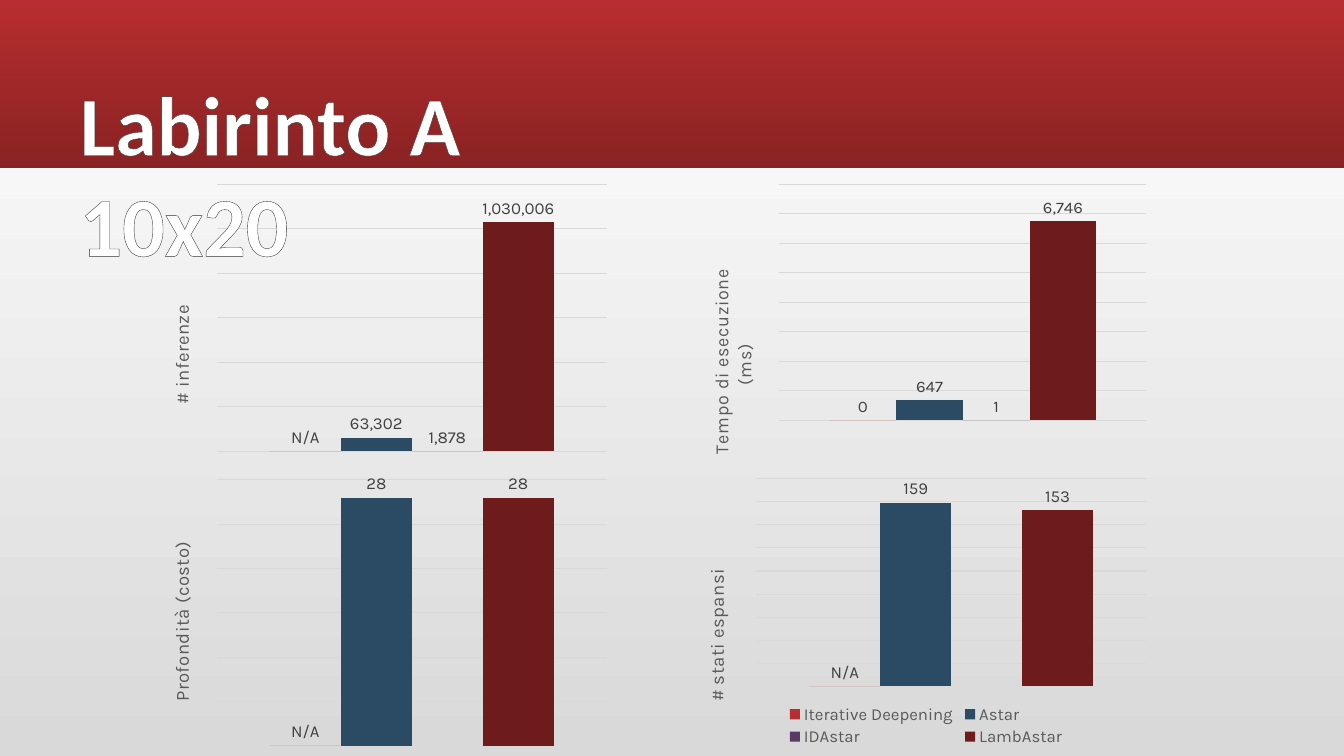
from lxml import etree
from pptx import Presentation
from pptx.chart.data import CategoryChartData
from pptx.dml.color import RGBColor
from pptx.enum.chart import XL_CHART_TYPE, XL_LABEL_POSITION, XL_LEGEND_POSITION
from pptx.enum.shapes import MSO_SHAPE
from pptx.enum.text import MSO_ANCHOR, PP_ALIGN
from pptx.oxml.ns import qn
from pptx.util import Inches, Pt

COLUMNS = XL_CHART_TYPE.COLUMN_CLUSTERED
OUTSIDE = XL_LABEL_POSITION.OUTSIDE_END
BOTTOM = XL_LEGEND_POSITION.BOTTOM
RECTANGLE = MSO_SHAPE.RECTANGLE
TOP, LEFT = MSO_ANCHOR.TOP, PP_ALIGN.LEFT

SLIDE_W, SLIDE_H = 13.33, 7.5
CHART_W, CHART_H = 4.57, 2.76
COLUMN_X, ROW_Y = (1.55, 6.9), (1.78, 4.7)
PLOT_TOP, PLOT_RIGHT = 0.05, 0.1
SERIES_COLORS = ("B82D2F", "2B4A63", "5A3A64", "6E1B1C")
ALGORITHMS = ("Iterative Deepening", "Astar", "IDAstar", "LambAstar")
NUMBERED = ("Series 1", "Series 2", "Series 3", "Series 4")
PARTLY_NUMBERED = ("Series 1", "Series 2", "IDAstar", "Series 4")

# Values are percentages of the tallest bar; the labels give the measured amounts.
# left and bottom are plot margins in inches; title_at is a fraction of the chart.
MEASURES = [
    dict(cell=(0, 0), title="# inferenze", names=NUMBERED, values=(0, 6, 0, 100),
         labels=("N/A", "63,302", "1,878", "1,030,006"),
         step=19.42, intervals=6, left=0.6, bottom=0.06, title_at=(0.02, 0.44)),
    dict(cell=(1, 0), title="Tempo di esecuzione (ms)", names=NUMBERED,
         values=(0, 10, 0, 100), labels=("0", "647", "1", "6,746"),
         step=14.82, intervals=8, left=0.83, bottom=0.27, title_at=(0.02, 0.35)),
    dict(cell=(1, 1), title="# stati espansi", names=ALGORITHMS,
         values=(0, 100, None, 96), labels=("N/A", "159", None, "153"),
         step=12.58, intervals=9, left=0.6, bottom=0.65, title_at=(0.01, 0.33),
         legend_at=(0.19, 0.82, 0.62, 0.17)),
    dict(cell=(0, 1), title="Profondità (costo)", names=PARTLY_NUMBERED,
         values=(0, 100, None, 100), labels=("N/A", "28", None, "28"),
         step=17.86, intervals=6, left=0.6, bottom=0.06, title_at=(0.02, 0.23)),
]


def rgb(value):
    return RGBColor.from_string(value)


def apply(target, formats):
    for name, value in formats.items():
        setattr(target, name, value)


def style_font(font, size, color, name="Karla", bold=False):
    apply(font, dict(size=Pt(size), name=name, bold=bold))
    font.color.rgb = rgb(color)


def fill_gradient(fill, start, end, angle):
    """Fill from start to end; the angle counts counter-clockwise."""
    fill.gradient()
    fill.gradient_angle = angle
    for stop, color in zip(fill.gradient_stops, (start, end)):
        stop.color.rgb = rgb(color)


def set_layout(element, index, fractions, inner=False):
    """Place a chart part by x, y and optionally w, h as chart fractions."""
    for old in element.findall(qn("c:layout")):
        element.remove(old)
    layout = etree.Element(qn("c:layout"))
    manual = etree.SubElement(layout, qn("c:manualLayout"))
    settings = [("layoutTarget", "inner")] if inner else []
    settings += [("xMode", "edge"), ("yMode", "edge")]
    settings += zip("xywh", fractions)
    for tag, value in settings:
        etree.SubElement(manual, qn(f"c:{tag}")).set("val", str(value))
    element.insert(index, layout)


def add_band(slide, x, y, w, h):
    band = slide.shapes.add_shape(RECTANGLE, Inches(x), Inches(y), Inches(w), Inches(h))
    band.shadow.inherit = False
    band.line.fill.background()
    fill_gradient(band.fill, "B82D2F", "8A2223", 270)


def add_title(slide, x, y, w, h):
    title = slide.shapes.title
    apply(title, dict(left=Inches(x), top=Inches(y), width=Inches(w), height=Inches(h)))
    frame = title.text_frame
    frame.text = "Labirinto A 10x20"
    apply(frame, dict(word_wrap=True, vertical_anchor=TOP))
    paragraph = frame.paragraphs[0]
    paragraph.alignment = LEFT
    font = paragraph.runs[0].font
    style_font(font, 60, "FFFFFF", "Calibri", True)
    outline = etree.Element(qn("a:ln"), w=str(Pt(0.52)))
    solid = etree.SubElement(outline, qn("a:solidFill"))
    etree.SubElement(solid, qn("a:srgbClr"), val="333333")
    font._element.insert(0, outline)
    # The title lies in front of the charts
    slide.shapes._spTree.append(title._element)


def format_value_axis(axis, measure):
    step = measure["step"]
    apply(axis, dict(visible=False, minimum_scale=0, major_unit=step,
                     maximum_scale=round(step * measure["intervals"], 2),
                     has_major_gridlines=True))
    grid = axis.major_gridlines.format.line
    grid.width = Pt(0.75)
    grid.color.rgb = rgb("D9D9D9")
    frame = axis.axis_title.text_frame
    frame.text = measure["title"]
    for name, value in dict(rot="-5400000", vert="horz").items():
        frame._txBody.bodyPr.set(name, value)
    font = frame.paragraphs[0].runs[0].font
    style_font(font, 13.3, "595959")
    font._element.set("spc", "20")
    set_layout(axis.axis_title._element, 1, measure["title_at"])


def format_bars(bars, color, label):
    bars.format.fill.solid()
    bars.format.fill.fore_color.rgb = rgb(color)
    if label:
        data_label = bars.points[0].data_label
        data_label.text_frame.text = label
        data_label.position = OUTSIDE
        style_font(data_label.text_frame.paragraphs[0].runs[0].font, 12, "404040")


def add_measure_chart(slide, x, y, w, h, measure):
    data = CategoryChartData()
    data.categories = ["1"]
    for name, value in zip(measure["names"], measure["values"]):
        data.add_series(name, [value])
    chart = slide.shapes.add_chart(COLUMNS, Inches(x), Inches(y), Inches(w), Inches(h),
                                   data).chart
    style_font(chart.font, 10, "000000")
    apply(chart, dict(has_title=False, has_legend="legend_at" in measure))
    if chart.has_legend:
        apply(chart.legend, dict(position=BOTTOM, include_in_layout=False))
        style_font(chart.legend.font, 12, "595959")
        set_layout(chart.legend._element, 1, measure["legend_at"])

    plot = chart.plots[0]
    apply(plot, dict(gap_width=150, overlap=0, vary_by_categories=False))
    for bars, color, label in zip(plot.series, SERIES_COLORS, measure["labels"]):
        format_bars(bars, color, label)

    chart.category_axis.visible = False
    format_value_axis(chart.value_axis, measure)
    left, bottom = measure["left"], measure["bottom"]
    area = (left / w, PLOT_TOP / h,
            (w - left - PLOT_RIGHT) / w, (h - PLOT_TOP - bottom) / h)
    set_layout(chart._chartSpace.chart.plotArea, 0, area, inner=True)


def main():
    deck = Presentation()
    apply(deck, dict(slide_width=Inches(SLIDE_W), slide_height=Inches(SLIDE_H)))
    slide = deck.slides.add_slide(deck.slide_layouts.get_by_name("Title Only"))
    fill_gradient(slide.background.fill, "D9D9D9", "FFFFFF", 90)
    add_band(slide, 0, 0, SLIDE_W, 1.67)
    for measure in MEASURES:
        column, row = measure["cell"]
        add_measure_chart(slide, COLUMN_X[column], ROW_Y[row], CHART_W, CHART_H, measure)
    add_title(slide, 0.69, 0.66, 5.42, 1.11)
    deck.save("out.pptx")


if __name__ == "__main__":
    main()
